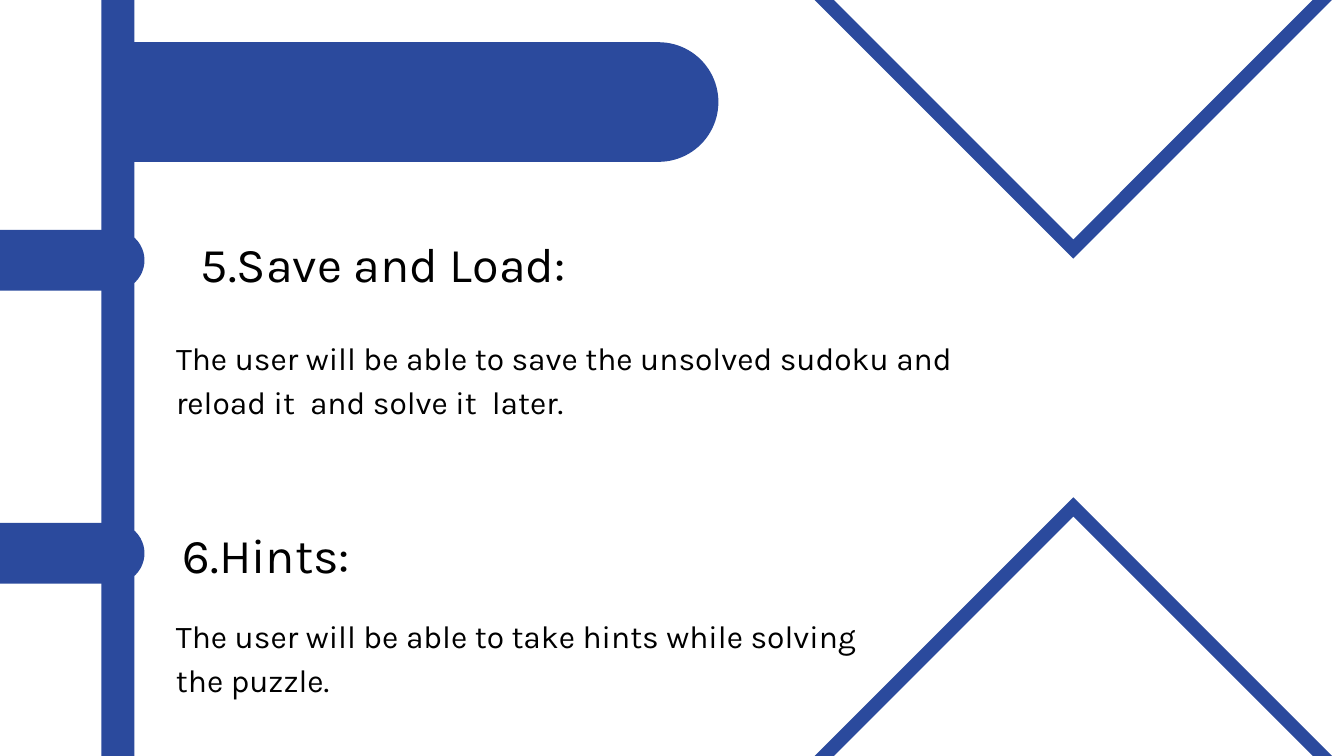
from pptx import Presentation
from pptx import util as u
from pptx.dml.color import RGBColor
from pptx.enum import shapes, text

BLUE, BLACK = "2B4A9D", "000000"
FONT = "Karla"
HEADING = {"size": 52, "leading": 72.8, "align": text.PP_ALIGN.CENTER}
BODY = {"size": 34, "leading": 47.6, "align": text.PP_ALIGN.LEFT}

RAIL = (108.7, 0, 35.3, 810)
FRAME_SIDE, FRAME_X = 485.3, 1150
FRAME_CENTRES_Y = [876, -66]
PILLS = [
    (143.5, 45.2, 626.2, 128.2),
    (0, 246.3, 154.8, 65.2),
    (0, 560.2, 154.8, 65.2),
]
TITLE = ("5.Save and Load:", (154.8, 239.8, 512, 69.8), HEADING)
TEXTS = [
    ("The user will be able to save the unsolved sudoku and reload it  and solve it  later.",
     (188.6, 355.7, 862, 92.9), BODY),
    ("6.Hints:", (159.8, 552.2, 251.3, 69.8), HEADING),
    ("The user will be able to take hints while solving the puzzle.",
     (188.6, 653.8, 744.5, 92.9), BODY),
]


def color(hex_value):
    return RGBColor.from_string(hex_value)


def points(box):
    return [u.Pt(v) for v in box]


def add_blue(s, kind, box, rotation=0, adjustments=()):
    sp = s.shapes.add_shape(kind, *points(box))
    sp.shadow.inherit = False
    sp.fill.solid()
    sp.fill.fore_color.rgb = color(BLUE)
    sp.line.fill.background()
    sp.rotation = rotation
    for i, value in enumerate(adjustments):
        sp.adjustments[i] = value


def add_pill(s, box):
    x, y, w, h = box
    upright = (x + (w - h) / 2, y + (h - w) / 2, h, w)
    add_blue(s, shapes.MSO_SHAPE.ROUND_2_SAME_RECTANGLE, upright, 90, (0.5, 0))


def write(sp, words, box, style):
    sp.left, sp.top, sp.width, sp.height = points(box)
    tf = sp.text_frame
    frame = {"word_wrap": True, "auto_size": text.MSO_AUTO_SIZE.NONE,
             "vertical_anchor": text.MSO_ANCHOR.TOP, "margin_left": 0,
             "margin_right": 0, "margin_top": 0, "margin_bottom": 0}
    for name, value in frame.items():
        setattr(tf, name, value)
    p = tf.paragraphs[0]
    paragraph = {"alignment": style["align"], "line_spacing": u.Pt(style["leading"]),
                 "space_before": u.Pt(0), "space_after": u.Pt(0)}
    for name, value in paragraph.items():
        setattr(p, name, value)
    r = p.add_run()
    r.text = words
    r.font.name = FONT
    r.font.size = u.Pt(style["size"])
    r.font.color.rgb = color(BLACK)


def main():
    prs = Presentation()
    prs.slide_width, prs.slide_height = u.Pt(1440), u.Pt(810)
    s = prs.slides.add_slide(prs.slide_layouts[5])
    add_blue(s, shapes.MSO_SHAPE.RECTANGLE, RAIL)
    half = FRAME_SIDE / 2
    for y in FRAME_CENTRES_Y:
        box = (FRAME_X - half, y - half, FRAME_SIDE, FRAME_SIDE)
        add_blue(s, shapes.MSO_SHAPE.FRAME, box, 45, (0.03,))
    for box in PILLS:
        add_pill(s, box)
    write(s.shapes.title, *TITLE)
    for words, box, style in TEXTS:
        write(s.shapes.add_textbox(*points(box)), words, box, style)
    prs.save("out.pptx")


if __name__ == "__main__":
    main()
